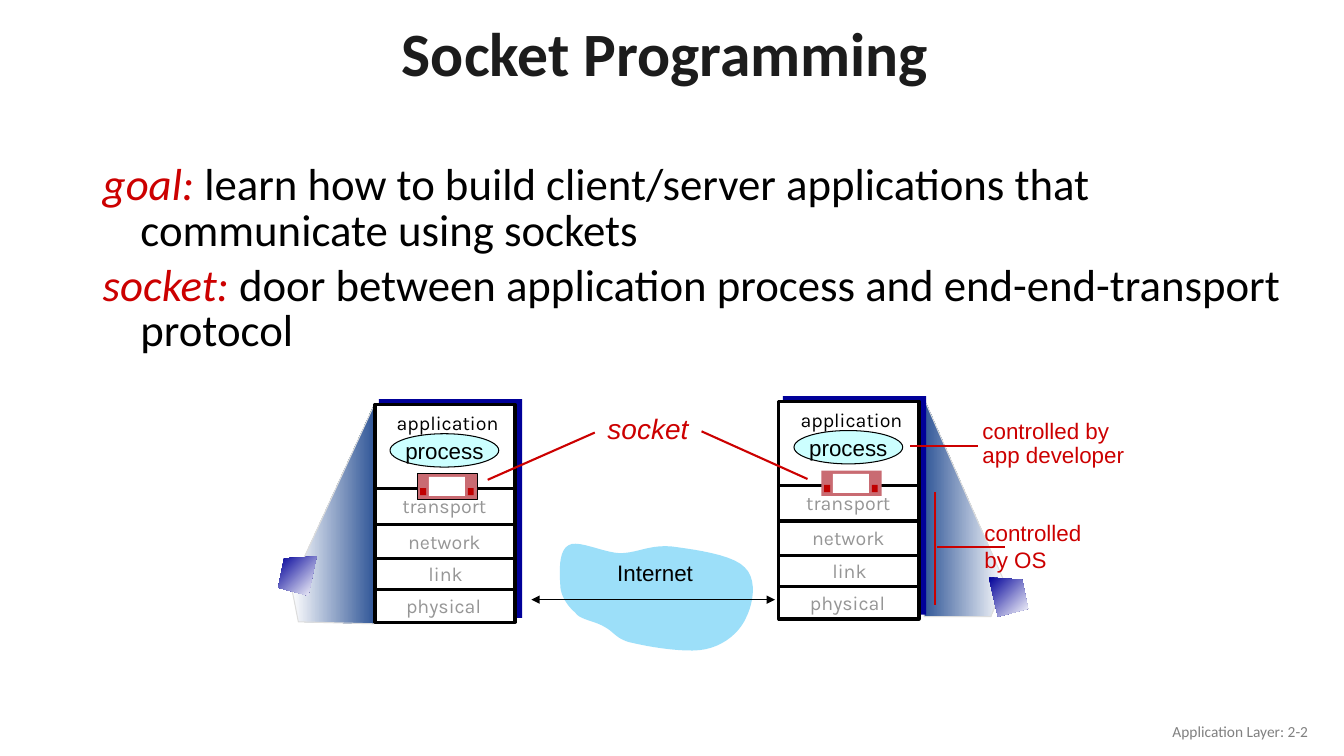
from pptx import Presentation
from pptx.dml.color import RGBColor
from pptx.enum.shapes import MSO_CONNECTOR, MSO_SHAPE
from pptx.enum.text import MSO_ANCHOR, PP_ALIGN
from pptx.oxml.ns import qn
from pptx.util import Cm, Pt
from lxml.etree import SubElement

BLACK = RGBColor(0x00, 0x00, 0x00)
WHITE = RGBColor(0xFF, 0xFF, 0xFF)
INK = RGBColor(0x1C, 0x1C, 0x1C)
RED = RGBColor(0xCC, 0x00, 0x00)
DARK_RED = RGBColor(0xC0, 0x00, 0x00)
ROSE = RGBColor(0xC9, 0x6B, 0x72)
NAVY = RGBColor(0x00, 0x00, 0x99)
BLUE = RGBColor(0x2F, 0x55, 0x97)
SKY = RGBColor(0x9C, 0xDF, 0xF9)
AQUA = RGBColor(0xCC, 0xFF, 0xFF)
PALE_GREY = RGBColor(0xDD, 0xDD, 0xDD)
MID_GREY = RGBColor(0x96, 0x96, 0x96)
FOOTER_GREY = RGBColor(0x80, 0x80, 0x80)

deck = Presentation()
deck.slide_width, deck.slide_height = Cm(33.87), Cm(19.05)
page = deck.slides.add_slide(deck.slide_layouts[6])


def write(box, text, size=16, font="Arial", color=BLACK, bold=False, italic=False,
          align=PP_ALIGN.LEFT, anchor=MSO_ANCHOR.TOP, wrap=True, spacing=1.0,
          before=0, hanging=0, red_lead=False):
    """Fill a box; each line of text is a paragraph, red_lead marks its term."""
    frame = box.text_frame
    frame.word_wrap = wrap
    frame.vertical_anchor = anchor
    for index, line in enumerate(text.split("\n")):
        para = frame.paragraphs[0] if index == 0 else frame.add_paragraph()
        para.alignment = align
        para.line_spacing = spacing
        if index:
            para.space_before = Pt(before)
        if hanging:
            properties = para._p.get_or_add_pPr()
            properties.set("marL", str(Cm(hanging)))
            properties.set("indent", str(-Cm(hanging)))
        parts = [(line, color, italic)]
        if red_lead:
            term, rest = line.split(":", 1)
            parts = [(term + ":", RED, True), (rest, color, italic)]
        for words, tint, slanted in parts:
            span = para.add_run()
            span.text = words
            span.font.size = Pt(size)
            span.font.name = font
            span.font.color.rgb = tint
            span.font.bold = bold
            span.font.italic = slanted


def draw_line(x1, y1, x2, y2, color=RED, width=1.5, arrows=False):
    line = page.shapes.add_connector(MSO_CONNECTOR.STRAIGHT, Cm(x1), Cm(y1), Cm(x2), Cm(y2))
    line.line.color.rgb = color
    line.line.width = Pt(width)
    if arrows:
        for end in ("a:headEnd", "a:tailEnd"):
            SubElement(line.line._get_or_add_ln(), qn(end), type="triangle")
    SubElement(line._element.spPr, qn("a:effectLst"))


# Title and definitions
title = page.shapes.add_textbox(Cm(2.34), Cm(0.18), Cm(29.21), Cm(2.49))
write(title, "Socket Programming ", size=44, font="Calibri", color=INK, bold=True,
      align=PP_ALIGN.CENTER, anchor=MSO_ANCHOR.MIDDLE, spacing=0.9)
body = page.shapes.add_textbox(Cm(2.34), Cm(4.01), Cm(30.91), Cm(4.27))
write(body, "goal: learn how to build client/server applications that communicate using sockets\n"
      "socket: door between application process and end-end-transport protocol",
      size=32, font="Calibri", spacing=0.85, before=6.4, hanging=0.95, red_lead=True)

# Internet cloud outline: cubic curves sampled into short segments
cloud_curves = [
    ((14.10, 14.43), (14.07, 13.87), (14.33, 13.74)),
    ((14.55, 13.59), (15.19, 13.92), (15.62, 13.94)),
    ((16.05, 13.94), (16.38, 13.72), (16.92, 13.77)),
    ((17.45, 13.84), (18.47, 13.97), (18.77, 14.30)),
    ((19.10, 14.61), (18.97, 15.24), (18.80, 15.57)),
    ((18.64, 15.93), (18.26, 16.26), (17.78, 16.36)),
    ((17.32, 16.46), (16.41, 16.31), (15.98, 16.21)),
    ((15.54, 16.13), (15.49, 15.93), (15.24, 15.80)),
    ((15.01, 15.65), (14.61, 15.62), (14.50, 15.44)),
    ((14.30, 15.27), (14.12, 15.01), (14.12, 14.73)),
]
STEPS = 10
cloud = [(14.12, 14.73)]
for control_1, control_2, end in cloud_curves:
    start = cloud[-1]
    for step in range(1, STEPS + 1):
        t = step / STEPS
        cloud.append(tuple(
            (1 - t) ** 3 * a + 3 * (1 - t) ** 2 * t * b + 3 * (1 - t) * t ** 2 * c + t ** 3 * d
            for a, b, c, d in zip(start, control_1, control_2, end)))

# Zoom cones, cloud and end-system blocks: points, fill colours, angle, outline
outlines = [
    ([(25.32, 14.68), (23.27, 10.01), (23.29, 15.54), (24.97, 15.54)],
     (WHITE, BLUE), 180, PALE_GREY),
    ([(7.34, 14.76), (9.45, 10.16), (9.42, 15.72), (7.52, 15.67)],
     (WHITE, BLUE), 0, PALE_GREY),
    (cloud, (SKY,), 0, None),
    ([(7.98, 14.02), (7.16, 14.07), (7.01, 14.81), (7.77, 15.01)], (NAVY, WHITE), 315, None),
    ([(24.92, 14.55), (25.76, 14.61), (25.91, 15.34), (25.15, 15.54)], (NAVY, WHITE), 315, None),
]
for points, colors, angle, edge in outlines:
    corners = [(Cm(x), Cm(y)) for x, y in points]
    builder = page.shapes.build_freeform(*corners[0])
    builder.add_line_segments(corners[1:], close=True)
    shape = builder.convert_to_shape()
    shape.shadow.inherit = False
    if len(colors) == 1:
        shape.fill.solid()
        shape.fill.fore_color.rgb = colors[0]
    else:
        shape.fill.gradient()
        shape.fill.gradient_angle = angle
        for stop, color, position in zip(shape.fill.gradient_stops, colors, (0, 1)):
            stop.color.rgb = color
            stop.position = position
    if edge is None:
        shape.line.fill.background()
    else:
        shape.line.color.rgb = edge
        shape.line.width = Pt(0.75)

# Protocol stacks, with every part placed from the stack's top left corner
dividers = [2.13, 3.02, 3.89, 4.67]
layers = [("application", 0, -0.02, BLACK), ("transport", -0.08, 2.08, MID_GREY),
          ("network", -0.08, 2.97, MID_GREY), ("link", -0.05, 3.78, MID_GREY),
          ("physical", -0.1, 4.6, MID_GREY)]
panels = [(0.1, -0.13, 3.61, 5.51, NAVY, 0), (0, 0, 3.53, 5.49, WHITE, 2.25)]
for left, top, socket_edge in [(9.45, 10.19, 0.75), (19.63, 10.11, 0)]:
    door = [(1.07, 1.75, 1.52, 0.64, ROSE, socket_edge), (1.36, 1.83, 0.91, 0.48, WHITE, 0),
            (2.34, 2.11, 0.15, 0.18, DARK_RED, 0), (1.14, 2.11, 0.15, 0.18, DARK_RED, 0)]
    process = (0.38, 0.74, 2.74, 0.84, AQUA, 0.75)
    for part in panels + [process] + door:
        dx, dy, width, height, color, edge = part
        kind = MSO_SHAPE.OVAL if part is process else MSO_SHAPE.RECTANGLE
        shape = page.shapes.add_shape(kind, Cm(left + dx), Cm(top + dy), Cm(width), Cm(height))
        shape.shadow.inherit = False
        shape.fill.solid()
        shape.fill.fore_color.rgb = color
        if edge:
            shape.line.color.rgb = BLACK
            shape.line.width = Pt(edge)
        else:
            shape.line.fill.background()
        if part is process:
            write(shape, "process", align=PP_ALIGN.CENTER, anchor=MSO_ANCHOR.MIDDLE, wrap=False)
        # Layers go on the white panel, beneath the process and the socket
        if part is panels[-1]:
            for dy in dividers:
                draw_line(left + 0.04, top + dy, left + 3.54, top + dy, color=BLACK, width=2.25)
            for name, dx, dy, color in layers:
                label = page.shapes.add_textbox(Cm(left + dx), Cm(top + dy), Cm(3.66), Cm(0.91))
                write(label, name, size=14, font="Karla", color=color,
                      align=PP_ALIGN.CENTER, spacing=1.1)

# Callout lines and the link across the Internet
draw_line(13.39, 15.11, 19.53, 15.11, color=BLACK, width=0.75, arrows=True)
for ends in [(24.64, 11.23, 22.94, 11.23), (23.57, 12.4, 23.57, 15.24),
             (25.32, 13.79, 23.62, 13.79), (12.29, 12.09, 14.99, 10.9),
             (20.35, 12.07, 17.68, 10.87)]:
    draw_line(*ends)

# Callout labels and footer
captions = [
    ("Internet", 15.29, 13.97, 2.44, 0.94, dict(align=PP_ALIGN.CENTER, wrap=False)),
    ("controlled\nby OS", 24.56, 12.95, 2.95, 2.29, dict(color=RED, wrap=False)),
    ("controlled by\napp developer", 24.51, 10.46, 4.09, 1.47,
     dict(color=RED, wrap=False, spacing=0.9)),
    ("socket", 15.06, 10.34, 2.8, 1.02,
     dict(size=20, color=RED, italic=True, spacing=0.9)),
    ("Application Layer: 2-2", 25.6, 17.91, 7.62, 1.02,
     dict(size=11, font="Calibri", color=FOOTER_GREY, align=PP_ALIGN.RIGHT,
          anchor=MSO_ANCHOR.MIDDLE)),
]
for text, left, top, width, height, style in captions:
    caption = page.shapes.add_textbox(Cm(left), Cm(top), Cm(width), Cm(height))
    write(caption, text, **style)

deck.save("out.pptx")
